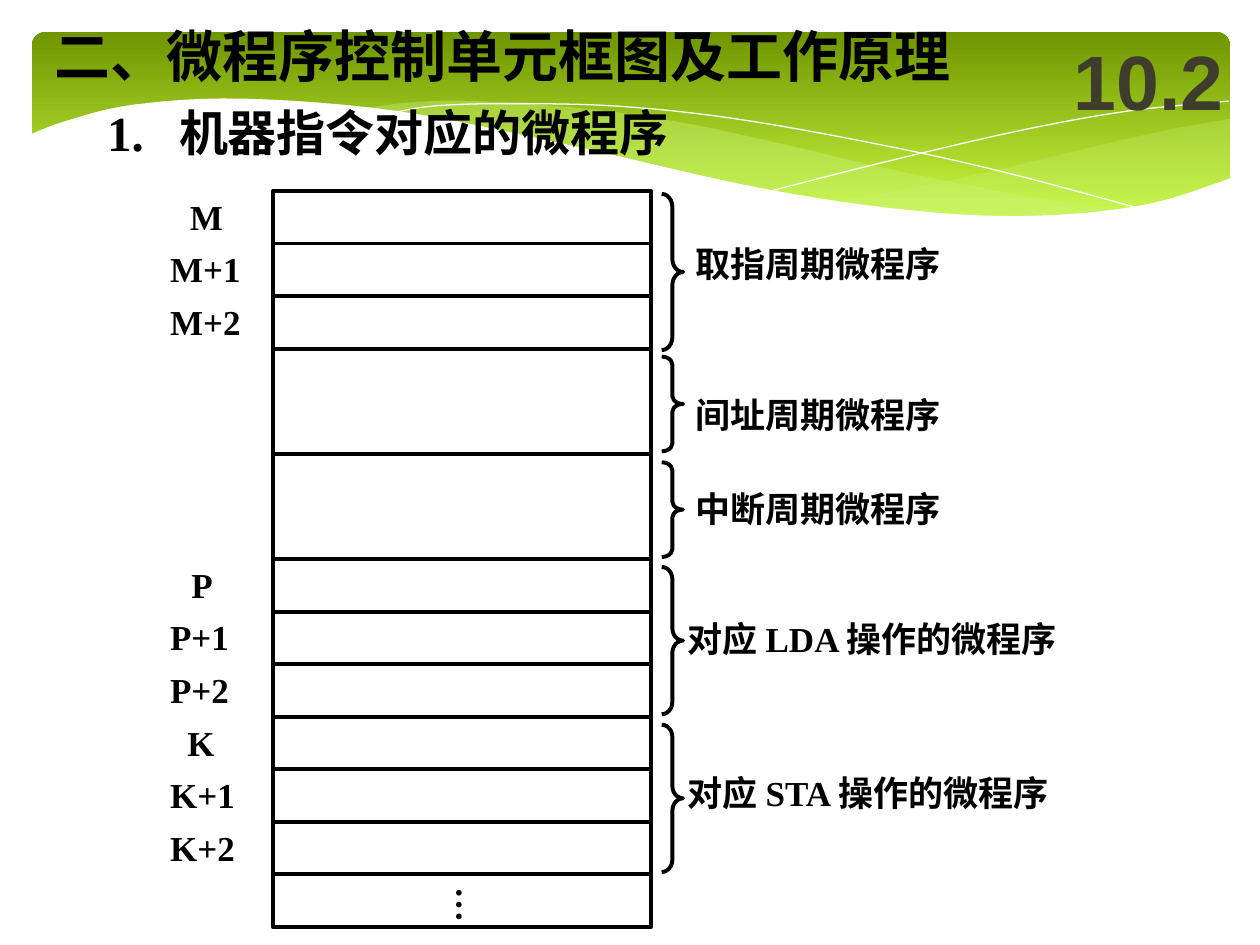
from pptx import Presentation
from pptx.dml.color import RGBColor
from pptx.enum.shapes import MSO_SHAPE
from pptx.enum.text import MSO_ANCHOR, MSO_AUTO_SIZE
from pptx.oxml import parse_xml
from pptx.oxml.ns import nsdecls, qn
from pptx.util import Cm, Pt

RECTANGLE = MSO_SHAPE.RECTANGLE
ROUNDED = MSO_SHAPE.ROUNDED_RECTANGLE
RIGHT_BRACE = MSO_SHAPE.RIGHT_BRACE
MIDDLE = MSO_ANCHOR.MIDDLE
FIT_SHAPE = MSO_AUTO_SIZE.SHAPE_TO_FIT_TEXT
FIXED_SIZE = MSO_AUTO_SIZE.NONE
SERIF, SANS = "Times New Roman", "Arial"
BLACK, WHITE, PALE_GREEN = "000000", "FFFFFF", "CAF278"

ROW = 1.06
CELL_SPANS = [1, 1, 1, 2, 2] + [1] * 7
# letter, first row, left and width of the letter's box, width with a suffix
ADDRESSES = [
    ("M", 0, 3.58, 1.17, 1.95),
    ("P", 7, 3.61, 0.96, 1.74),
    ("K", 10, 3.53, 1.07, 1.85),
]
# text, brace top and height, text left, top and width, from the memory's corner
ROUTINES = [
    ("取指周期微程序", 0.06, 3.15, 8.26, 0.92, 5.46),
    ("间址周期微程序", 3.34, 1.91, 8.26, 3.95, 5.46),
    ("中断周期微程序", 5.47, 1.91, 8.26, 5.85, 5.46),
    ("对应 LDA 操作的微程序", 7.58, 2.97, 8.10, 8.47, 8.33),
    ("对应 STA 操作的微程序", 10.76, 2.97, 8.10, 11.57, 8.20),
]

# Knots of the banner's curves, in cm from its top left corner
RIGHT_WAVE = [
    [(24.16, 1.75), (22.76, 2.01), (21.23, 2.36), (18.49, 3), (16.15, 3.43)],
    [(16.15, 3.43), (17.96, 3.63), (19.76, 3.73), (21.51, 3.66),
     (22.94, 3.38), (24.16, 2.95)],
]
MIDDLE_WAVE = [
    [(22.05, 3.61), (19.86, 3.28), (17.3, 2.77), (15.34, 2.31), (13.11, 1.83),
     (11.15, 1.55), (9.02, 1.4), (7.7, 1.42), (6.63, 1.55)],
    [(6.63, 1.55), (8.56, 1.83), (10.77, 2.31), (13.74, 3), (15.88, 3.38),
     (18.06, 3.66), (20.14, 3.76), (22.05, 3.61)],
]
FALLING_LINE = [[(7.21, 1.65), (8.08, 1.5), (9.55, 1.45), (11.79, 1.5),
                 (14.15, 1.75), (17.02, 2.26), (19.56, 2.82), (22.4, 3.58)]]
RISING_LINE = [[(14.94, 3.2), (17.02, 2.67), (19.84, 2.01), (22.1, 1.6),
                (24.13, 1.4)]]
WHITE_WAVE = [(24.18, 2.95), (22.48, 3.48), (20.27, 3.71), (17.81, 3.61),
              (14.68, 3.15), (10.72, 2.26), (7.37, 1.6), (4.27, 1.35),
              (2.06, 1.47), (0.69, 1.8), (-0.05, 2.08)]


def rgb(color):
    return RGBColor.from_string(color)


def smooth_curve(knots, steps=6):
    """Return points on a Catmull-Rom spline through the knots."""
    if len(knots) < 3:
        return knots
    padded = [knots[0], *knots, knots[-1]]
    points = [knots[0]]
    for a, b, c, d in zip(padded, padded[1:], padded[2:], padded[3:]):
        for step in range(1, steps + 1):
            t = step / steps
            points.append(tuple(
                q + t * (r - p + t * (2 * p - 5 * q + 4 * r - s
                                      + t * (3 * q - p - 3 * r + s))) / 2
                for p, q, r, s in zip(a, b, c, d)))
    return points


def add_curve(slide, left, top, parts, fill=None, opacity=100):
    """Draw a filled wave, or a white hairline when no fill is given."""
    points = [(Cm(left + x), Cm(top + y))
              for part in parts for x, y in smooth_curve(part)]
    builder = slide.shapes.build_freeform(*points[0])
    builder.add_line_segments(points[1:], close=fill is not None)
    curve = builder.convert_to_shape()
    curve.shadow.inherit = False
    if fill is None:
        curve.fill.background()
        curve.line.color.rgb = rgb(WHITE)
        curve.line.width = Pt(0)
        return
    curve.fill.solid()
    curve.fill.fore_color.rgb = rgb(fill)
    curve.line.fill.background()
    if opacity < 100:
        color = curve.element.spPr.find(qn("a:solidFill"))[0]
        color.append(parse_xml(f'<a:alpha {nsdecls("a")} val="{opacity * 1000}"/>'))


def add_banner(slide, left, top, width, height):
    band = slide.shapes.add_shape(ROUNDED, Cm(left), Cm(top), Cm(width), Cm(height))
    band.adjustments[0] = 0.07
    band.shadow.inherit = False
    band.line.fill.background()
    band.fill.gradient()
    band.fill.gradient_angle = 270
    for stop, color in zip(band.fill.gradient_stops, ("6F9500", "D0FF44")):
        stop.color.rgb = rgb(color)
    add_curve(slide, left, top, RIGHT_WAVE, PALE_GREEN, 29)
    add_curve(slide, left, top, MIDDLE_WAVE, PALE_GREEN, 40)
    add_curve(slide, left, top, FALLING_LINE)
    add_curve(slide, left, top, RISING_LINE)
    # The closing edge reaches below the band and hides its lower part
    floor = [(x, height + 1.1) for x in (WHITE_WAVE[-1][0], WHITE_WAVE[0][0])]
    add_curve(slide, left, top, [WHITE_WAVE, floor], WHITE)


def add_text(slide, text, left, top, width, height, size=20, wrap=False,
             font=SERIF, color=BLACK):
    box = slide.shapes.add_textbox(Cm(left), Cm(top), Cm(width), Cm(height))
    frame = box.text_frame
    frame.word_wrap = wrap
    frame.auto_size = FIT_SHAPE
    frame.text = text
    for run in frame.paragraphs[0].runs:
        run.font.size = Pt(size)
        run.font.bold = True
        run.font.name = font
        run.font.color.rgb = rgb(color)
    return box


def add_headings(slide, left, top, width):
    add_text(slide, "二、微程序控制单元框图及工作原理",
             left, top, width, 1.63, 32, True)
    subtitle = add_text(slide, "1.\t机器指令对应的微程序",
                        left + 1.07, top + 1.65, 13.54, 1.45, 28, True)
    properties = subtitle.text_frame.paragraphs[0]._p.get_or_add_pPr()
    properties.append(parse_xml(
        f'<a:tabLst {nsdecls("a")}><a:tab pos="{Cm(1.45)}" algn="l"/></a:tabLst>'))
    section = add_text(slide, "10.2", left + 20.55, top + 0.13, 4.01, 2.34, 44, True,
                       SANS, "3E3D2D")
    section.text_frame.auto_size = FIXED_SIZE
    section.text_frame.vertical_anchor = MIDDLE


def add_outline(slide, preset, left, top, width, height):
    outline = slide.shapes.add_shape(preset, Cm(left), Cm(top), Cm(width), Cm(height))
    outline.shadow.inherit = False
    outline.fill.background()
    outline.line.color.rgb = rgb(BLACK)
    outline.line.width = Pt(2.25)
    return outline


def add_memory(slide, left, top, width):
    row = 0
    for span in CELL_SPANS:
        add_outline(slide, RECTANGLE, left, top + row * ROW, width, span * ROW)
        row += span
    dots = add_text(slide, "…", left + 3.18, top + (row - 1) * ROW + 0.02, 1.35, 0.97)
    body = dots.element.find(".//" + qn("a:bodyPr"))
    body.set("vert", "eaVert")
    frame = dots.text_frame
    frame.margin_left = frame.margin_right = Cm(0.13)
    frame.margin_top = frame.margin_bottom = Cm(0.25)


def add_addresses(slide, left, top):
    for letter, row, letter_left, letter_width, full_width in ADDRESSES:
        add_text(slide, letter, letter_left, top + row * ROW, letter_width, 1.11)
        for offset in (1, 2):
            add_text(slide, f"{letter}+{offset}", left,
                     top + (row + offset) * ROW, full_width, 1.11)


def add_routines(slide, left, top):
    brace_width = 0.43
    for text, brace_top, height, text_left, text_top, text_width in ROUTINES:
        brace = add_outline(slide, RIGHT_BRACE, left + 7.83, top + brace_top,
                            brace_width, height)
        brace.adjustments[0] = height / 12 / brace_width
        add_text(slide, text, left + text_left, top + text_top, text_width, 1.11)


def main():
    presentation = Presentation()
    presentation.slide_width, presentation.slide_height = Cm(25.4), Cm(19.05)
    slide = presentation.slides.add_slide(presentation.slide_layouts[6])
    add_banner(slide, 0.64, 0.64, 24.16, 3.96)
    add_headings(slide, 0.84, 0.3, 20.32)
    add_memory(slide, 5.51, 3.85, 7.61)
    add_addresses(slide, 3.18, 3.81)
    add_routines(slide, 5.51, 3.85)
    presentation.save("out.pptx")


if __name__ == "__main__":
    main()
